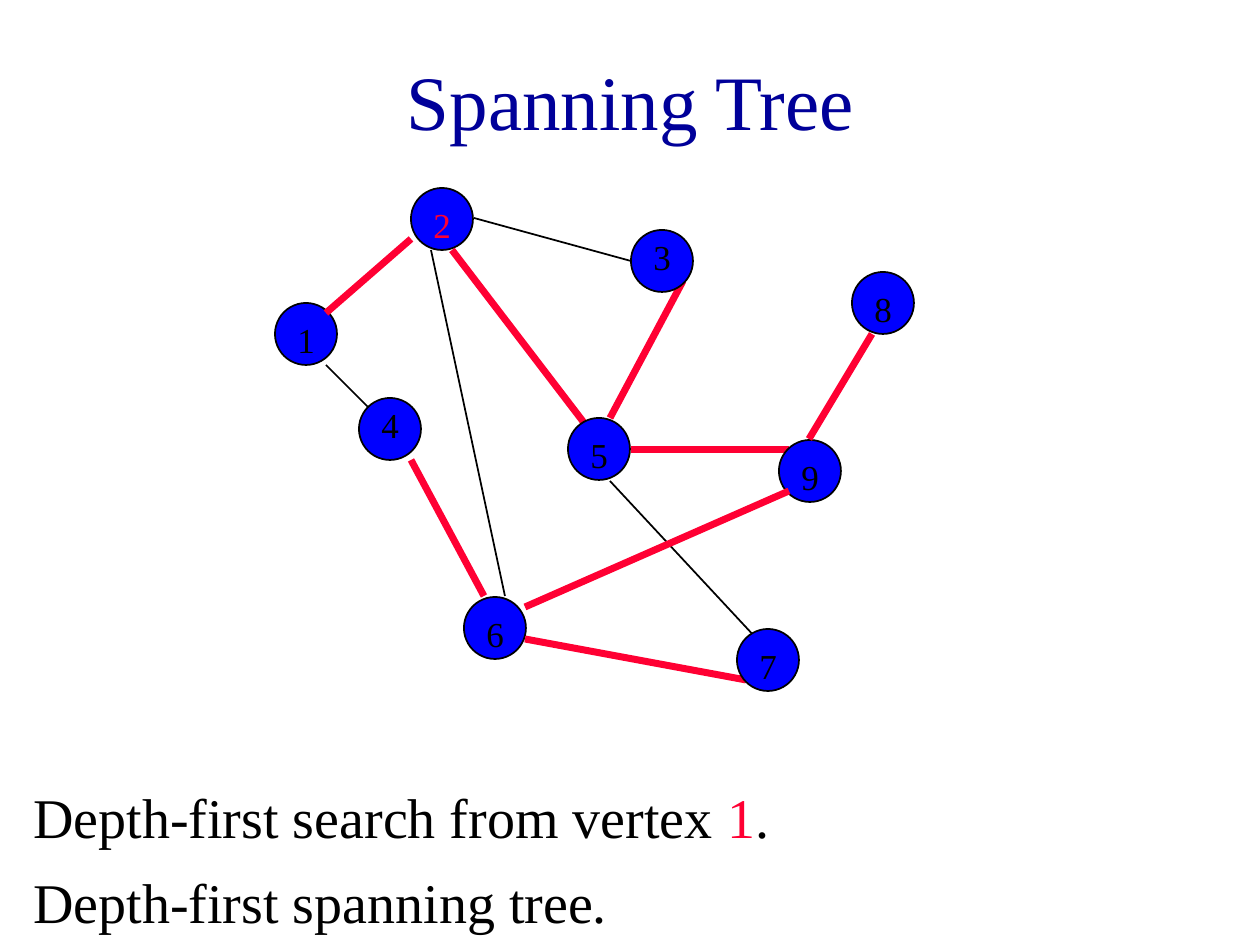
from lxml import etree
from pptx import Presentation
from pptx.dml.color import RGBColor
from pptx.enum.shapes import MSO_CONNECTOR, MSO_SHAPE
from pptx.enum.text import MSO_ANCHOR, PP_ALIGN
from pptx.oxml.ns import qn
from pptx.util import Pt

PX = 914400 // 126
STRAIGHT = MSO_CONNECTOR.STRAIGHT
OVAL = MSO_SHAPE.OVAL
MIDDLE = MSO_ANCHOR.MIDDLE
CENTER = PP_ALIGN.CENTER
LEFT = PP_ALIGN.LEFT
FONT = "Times New Roman"
COLORS = {"title": "000099", "text": "000000", "tree": "FF0033", "node": "0000FF"}
NODE_SIZE = 62


def write_line(shape, parts, size, space_before=0, align=LEFT):
    """Fill a shape with one paragraph made of (text, color name) parts."""
    shape.text_frame.word_wrap = True
    paragraph = shape.text_frame.paragraphs[0]
    paragraph.alignment = align
    paragraph.space_before = Pt(space_before)
    for text, color in parts:
        run = paragraph.add_run()
        run.text = text
        run.font.name = FONT
        run.font.size = Pt(size)
        run.font.color.rgb = RGBColor.from_string(COLORS[color])
    return paragraph


def draw_edge(ends, color, width):
    edge = slide.shapes.add_connector(STRAIGHT, *[value * PX for value in ends])
    edge.line.color.rgb = RGBColor.from_string(COLORS[color])
    edge.line.width = Pt(width)
    etree.SubElement(edge._element.spPr, qn("a:effectLst"))


presentation = Presentation()
presentation.slide_width = 1260 * PX
presentation.slide_height = 945 * PX
slide = presentation.slides.add_slide(presentation.slide_layouts[5])

# Title
title = slide.shapes.title
title.left, title.top, title.width, title.height = 95 * PX, 21 * PX, 1071 * PX, 158 * PX
title.text_frame.vertical_anchor = MIDDLE
write_line(title, [("Spanning Tree", "title")], 44, align=CENTER)

# Captions
search = slide.shapes.add_textbox(21 * PX, 784 * PX, 1239 * PX, 77 * PX)
search_parts = [("Depth-first search from vertex ", "text"), ("1", "tree"), (".", "text")]
write_line(search, search_parts, 32, 8).line_spacing = 0.9
result = slide.shapes.add_textbox(21 * PX, 861 * PX, 1040 * PX, 79 * PX)
write_line(result, [("Depth-first spanning tree.", "text")], 32, 20)

# Graph edges outside the tree: 1-4, 5-7, 2-3, 2-6
other_edges = [
    (326, 365, 368, 407),
    (610, 481, 757, 639),
    (474, 218, 631, 261),
    (431, 250, 505, 596),
]
for ends in other_edges:
    draw_edge(ends, "text", 1)

# Vertices in search order: name, left, top, label offset, label color, tree edge to it
vertices = [
    ("1", 275, 303, 9, "text", None),
    ("2", 411, 188, 9, "tree", (411, 239, 326, 313)),
    ("5", 568, 418, 9, "text", (452, 250, 588, 428)),
    ("9", 779, 440, 9, "text", (631, 450, 789, 450)),
    ("8", 852, 272, 9, "text", (872, 334, 809, 439)),
    ("6", 464, 597, 9, "text", (525, 607, 789, 491)),
    ("4", 359, 398, -1, "text", (411, 460, 484, 596)),
    ("7", 737, 629, 9, "text", (525, 639, 746, 680)),
    ("3", 631, 230, -1, "text", (683, 281, 610, 418)),
]
for name, left, top, label_offset, color, tree_edge in vertices:
    if tree_edge:
        draw_edge(tree_edge, "tree", 4)
    group = slide.shapes.add_group_shape()
    circle = group.shapes.add_shape(OVAL, left * PX, top * PX, NODE_SIZE * PX, NODE_SIZE * PX)
    circle.shadow.inherit = False
    circle.fill.solid()
    circle.fill.fore_color.rgb = RGBColor.from_string(COLORS["node"])
    circle.line.color.rgb = RGBColor.from_string(COLORS["text"])
    circle.line.width = Pt(1)
    label = group.shapes.add_textbox((left + 10) * PX, (top + label_offset) * PX, 32 * PX, 54 * PX)
    write_line(label, [(name, color)], 20, 12.5)

presentation.save("out.pptx")
